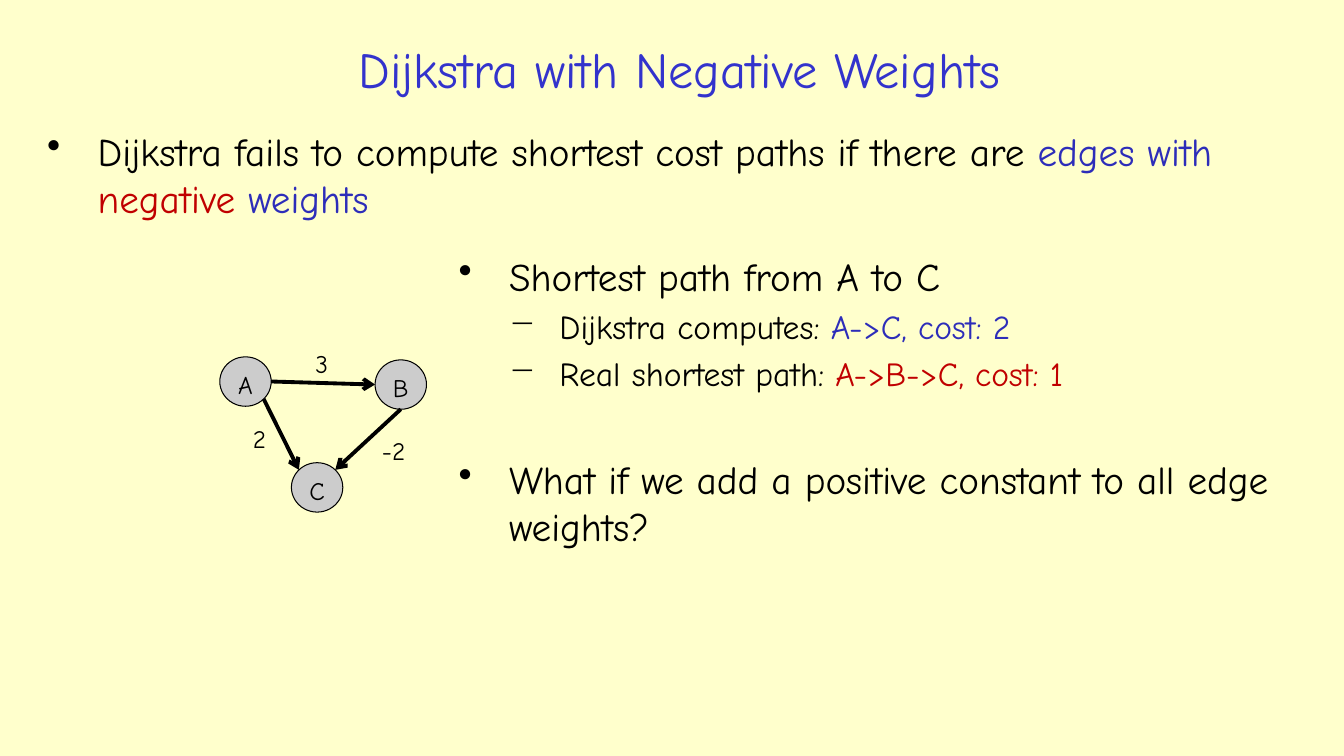
"""Build the slide on Dijkstra with negative edge weights."""
import dataclasses
import math

import lxml.etree
import pptx
import pptx.dml.color
import pptx.enum.shapes
import pptx.enum.text
import pptx.oxml.ns
import pptx.util

Inches = pptx.util.Inches
Pt = pptx.util.Pt
qn = pptx.oxml.ns.qn
ALIGN = pptx.enum.text.PP_ALIGN
ANCHOR = pptx.enum.text.MSO_ANCHOR


@dataclasses.dataclass(frozen=True)
class Theme:
    """Hold the colours, font and sizes."""
    font: str = "Comic Neue"
    paper: str = "FFFFCC"
    ink: str = "000000"
    heading: str = "3333CC"
    blue: str = "2D2DB9"
    red: str = "C00000"
    node: str = "CCCCCC"
    title_size: int = 36
    bullet_size: int = 28
    detail_size: int = 24
    label_size: int = 18
    outline: float = 0.75
    edge: float = 2.75


def rgb(value):
    """Turn a hex string into a colour."""
    return pptx.dml.color.RGBColor.from_string(value)


def apply(target, formats):
    """Set each attribute named in a dict of format values."""
    for attribute, value in formats.items():
        setattr(target, attribute, value)


class SlideBuilder:
    """Draw styled elements on one slide."""

    def __init__(self, slide, theme):
        """Keep the slide and theme, and paint the background."""
        self.slide, self.theme = slide, theme
        slide.background.fill.solid()
        slide.background.fill.fore_color.rgb = rgb(theme.paper)

    def add_pieces(self, paragraph, pieces, size):
        """Add coloured pieces of text to a paragraph."""
        for words, colour in pieces:
            run = paragraph.add_run()
            run.text = words
            apply(run.font, {"name": self.theme.font, "size": Pt(size)})
            run.font.color.rgb = rgb(colour)

    def text(self, box, words, size, colour, **formats):
        """Place a single-paragraph text box."""
        frame = self.slide.shapes.add_textbox(*map(Inches, box)).text_frame
        alignment = formats.pop("alignment", ALIGN.LEFT)
        apply(frame, {"word_wrap": True, **formats})
        frame.paragraphs[0].alignment = alignment
        self.add_pieces(frame.paragraphs[0], [(words, colour)], size)

    def bullets(self, box, items):
        """Place a bulleted list of (level, gap, pieces) items."""
        frame = self.slide.shapes.add_textbox(*map(Inches, box)).text_frame
        frame.word_wrap = True
        for index, (level, gap, pieces) in enumerate(items):
            paragraph = frame.add_paragraph() if index else frame.paragraphs[0]
            properties = paragraph._p.get_or_add_pPr()
            properties.set("marL", str(Inches(0.5 * (level + 1))))
            properties.set("indent", str(Inches(-0.5)))
            mark = lxml.etree.SubElement(properties, qn("a:buChar"))
            mark.set("char", "•−"[level])
            apply(paragraph, {"level": level, "space_before": Pt(gap)})
            size = self.theme.detail_size if level else self.theme.bullet_size
            self.add_pieces(paragraph, pieces, size)

    def node(self, name, left, top, width, height):
        """Draw a graph node and return it."""
        circle = self.slide.shapes.add_shape(
            pptx.enum.shapes.MSO_SHAPE.OVAL,
            *map(Inches, (left, top, width, height)))
        circle.shadow.inherit = False
        circle.fill.solid()
        circle.fill.fore_color.rgb = rgb(self.theme.node)
        circle.line.color.rgb = rgb(self.theme.ink)
        circle.line.width = Pt(self.theme.outline)
        frame = circle.text_frame
        apply(frame, {"word_wrap": True, "vertical_anchor": ANCHOR.TOP})
        frame.paragraphs[0].alignment = ALIGN.CENTER
        self.add_pieces(frame.paragraphs[0], [(name, self.theme.ink)],
                        self.theme.label_size)
        return circle

    def edge(self, start, start_angle, end, end_angle):
        """Draw an arrow between points on the rims of two nodes."""
        line = self.slide.shapes.add_connector(
            pptx.enum.shapes.MSO_CONNECTOR.STRAIGHT,
            *rim(start, start_angle), *rim(end, end_angle))
        line.line.color.rgb = rgb(self.theme.ink)
        line.line.width = Pt(self.theme.edge)
        tip = lxml.etree.SubElement(line.line._get_or_add_ln(), qn("a:tailEnd"))
        tip.set("type", "arrow")
        lxml.etree.SubElement(line._element.spPr, qn("a:effectLst"))


def rim(circle, degrees):
    """Return the point on a node's rim, clockwise from the right."""
    angle = math.radians(degrees)
    return (round(circle.left + circle.width / 2 * (1 + math.cos(angle))),
            round(circle.top + circle.height / 2 * (1 + math.sin(angle))))


def main():
    """Build and save the slide."""
    theme = Theme()
    deck = pptx.Presentation()
    apply(deck, {"slide_width": Inches(13.33), "slide_height": Inches(7.5)})
    builder = SlideBuilder(deck.slides.add_slide(deck.slide_layouts[6]), theme)

    builder.text((1.97, 0.3, 9.54, 0.76), "Dijkstra with Negative Weights",
                 theme.title_size, theme.heading,
                 alignment=ALIGN.CENTER, vertical_anchor=ANCHOR.MIDDLE)
    builder.bullets((0.37, 1.21, 12.58, 1.24), [
        (0, 0, [("Dijkstra fails to compute shortest cost paths if there are ",
                 theme.ink),
                ("edges with ", theme.blue), ("negative", theme.red),
                (" weights", theme.blue)])])

    places = {"A": (2.18, 3.54), "B": (3.72, 3.57), "C": (2.89, 4.59)}
    nodes = {name: builder.node(name, *place, 0.51, 0.49)
             for name, place in places.items()}
    for start, start_angle, end, end_angle in [
            ("A", 0, "B", 180), ("A", 45, "C", 225), ("B", 90, "C", 315)]:
        builder.edge(nodes[start], start_angle, nodes[end], end_angle)
    for weight, left, top, width in [
            ("3", 3.03, 3.41, 0.36), ("2", 2.41, 4.15, 0.36),
            ("-2", 3.69, 4.27, 0.46)]:
        builder.text((left, top, width, 0.4), weight, theme.label_size,
                     theme.ink, word_wrap=False,
                     auto_size=pptx.enum.text.MSO_AUTO_SIZE.SHAPE_TO_FIT_TEXT)

    builder.bullets((4.45, 2.45, 8.49, 4.83), [
        (0, 0, [("Shortest path from A to C", theme.ink)]),
        (1, 4.8, [("Dijkstra computes: ", theme.ink),
                  ("A->C, cost: 2", theme.blue)]),
        (1, 4.8, [("Real shortest path: ", theme.ink),
                  ("A->B->C, cost: 1", theme.red)]),
        (0, 44.8, [("What if we add a positive constant to all edge weights?",
                    theme.ink)])])
    deck.save("out.pptx")


if __name__ == "__main__":
    main()
